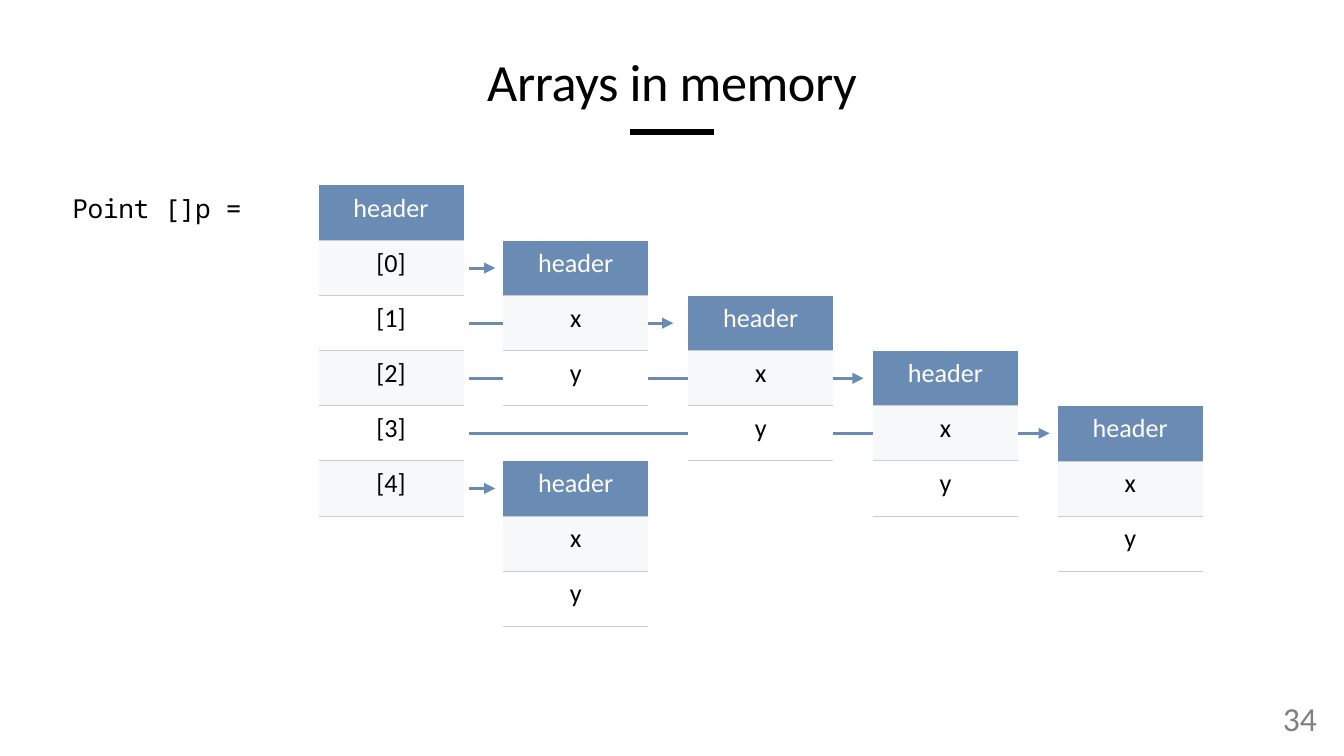
from lxml.etree import SubElement
from pptx import Presentation
from pptx.dml.color import RGBColor
from pptx.enum.shapes import MSO_CONNECTOR as CONN
from pptx.enum.text import MSO_ANCHOR as ANCHOR, MSO_AUTO_SIZE as FIT, PP_ALIGN as ALIGN
from pptx.oxml.ns import qn
from pptx.util import Inches, Pt

COLORS = {"ink": "000000", "white": "FFFFFF", "blue": "6A8CB4",
          "band": "F7F8FA", "rule": "CCCCCC", "number": "808080"}

# Memory grid, in hundredths of the slide width
LEFT, TOP = 23.7, 13.8
COL_STEP, ROW_H, COL_W = 13.75, 4.1, 10.8
ARROW_START = 34.9


def rgb(name):
    return RGBColor.from_string(COLORS[name])


class Deck:
    """Holds the style and the current slide; lengths are hundredths of its width."""

    def __init__(self, width=10, height=5.625):
        self.prs = Presentation()
        self.prs.slide_width, self.prs.slide_height = Inches(width), Inches(height)
        self.unit = Inches(width) / 100
        self.font = "Calibri"
        self.slide = self.prs.slides.add_slide(self.prs.slide_layouts[6])

    def box(self, *lengths):
        return [round(n * self.unit) for n in lengths]

    def add_run(self, p, text, size, color="ink", align=ALIGN.CENTER, font=None, spacing=0):
        p.alignment = align
        r = p.add_run()
        r.text = text
        for name, value in {"size": Pt(size), "name": font or self.font}.items():
            setattr(r.font, name, value)
        r.font.color.rgb = rgb(color)
        if spacing:
            r._r.get_or_add_rPr().set("spc", str(round(spacing * 100)))

    def text(self, at, text, size, frame, line_spacing=None, **style):
        tf = self.slide.shapes.add_textbox(*self.box(*at)).text_frame
        for name, value in frame.items():
            setattr(tf, name, value)
        p = tf.paragraphs[0]
        if line_spacing:
            p.line_spacing = line_spacing
        self.add_run(p, text, size, **style)

    def line(self, start, end, color, width, arrow=False):
        sp = self.slide.shapes.add_connector(CONN.STRAIGHT, *self.box(*start, *end))
        sp.line.color.rgb = rgb(color)
        sp.line.width = Pt(width)
        if arrow:
            SubElement(sp.line._get_or_add_ln(), qn("a:tailEnd"), type="triangle")
        SubElement(sp._element.spPr, qn("a:effectLst"))

    def borders(self, cell, header):
        tc_pr = cell._tc.get_or_add_tcPr()
        shown = {"lnB"} if header else {"lnT", "lnB"}
        for side in ("lnL", "lnR", "lnT", "lnB"):
            ln = SubElement(tc_pr, qn(f"a:{side}"), w=str(Pt(0.5) if side in shown else 0))
            if side in shown:
                fill = SubElement(ln, qn("a:solidFill"))
                SubElement(fill, qn("a:srgbClr"), val=COLORS["rule"])
            else:
                SubElement(ln, qn("a:noFill"))

    def memory_block(self, col, row, labels):
        at = (LEFT + col * COL_STEP, TOP + row * ROW_H, COL_W, ROW_H * len(labels))
        table = self.slide.shapes.add_table(len(labels), 1, *self.box(*at)).table
        table.first_row = table.horz_banding = False
        for i, label in enumerate(labels):
            table.rows[i].height = self.box(ROW_H)[0]
            cell = table.cell(i, 0)
            header = i == 0
            self.borders(cell, header)
            cell.fill.solid()
            cell.fill.fore_color.rgb = rgb("blue" if header else "band" if i % 2 else "white")
            self.add_run(cell.text_frame.paragraphs[0], label, 14,
                         "white" if header else "ink")


def main():
    deck = Deck()
    flush = dict.fromkeys(("margin_left", "margin_top", "margin_right", "margin_bottom"), 0)
    flush["vertical_anchor"] = ANCHOR.BOTTOM

    # Title and its underline
    deck.text((2, 2.1, 96, 6.3), "Arrays in memory", 28, {**flush, "word_wrap": True},
              line_spacing=0.9, spacing=-0.2)
    deck.line((46.9, 9.8), (53.1, 9.8), "ink", 3)

    # Column of the object each array element refers to, and the gap at the arrow tip
    targets = [(1, 0.6), (2, 1.1), (3, 0.7), (4, 0.6), (1, 0.6)]

    # References, behind the blocks
    for i, (col, gap) in enumerate(targets):
        y = TOP + (i + 1.5) * ROW_H
        deck.line((ARROW_START, y), (LEFT + col * COL_STEP - gap, y), "blue", 1.5, arrow=True)

    # The array and its objects
    deck.memory_block(0, 0, ["header"] + [f"[{i}]" for i in range(len(targets))])
    for i, (col, _) in enumerate(targets):
        deck.memory_block(col, i + 1, ["header", "x", "y"])

    # Declaration and slide number
    deck.text((4.4, 13.8, 14.6, 3.4), "Point []p =", 14,
              {"word_wrap": False, "auto_size": FIT.SHAPE_TO_FIT_TEXT},
              align=ALIGN.LEFT, font="Noto Sans Mono", spacing=-0.2)
    deck.text((93.4, 52, 4.6, 2.9), "34", 18, {**flush, "word_wrap": False},
              color="number", align=ALIGN.RIGHT)

    deck.prs.save("out.pptx")


if __name__ == "__main__":
    main()
